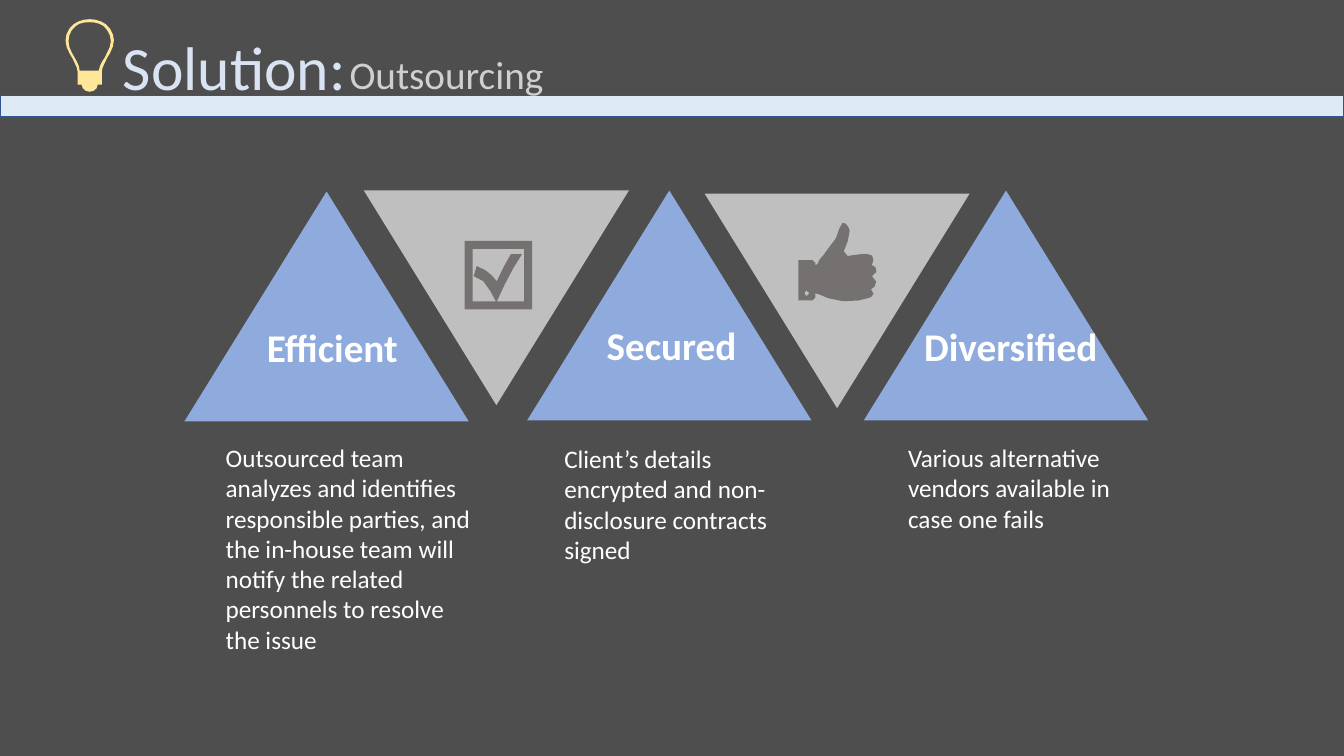
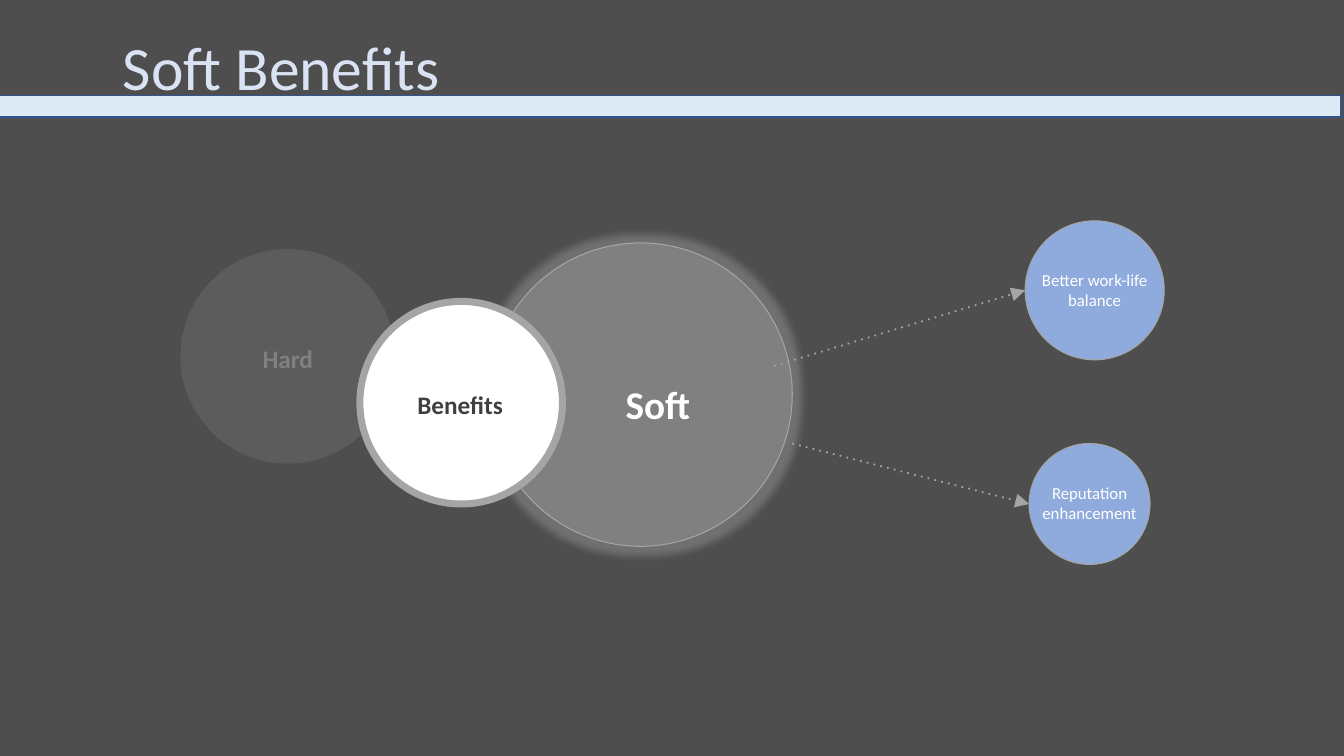
import math

import pptx
import pptx.util
import pptx.oxml
import pptx.oxml.ns
import pptx.dml.color
import pptx.enum.shapes
import pptx.enum.text

Inches = pptx.util.Inches
Pt = pptx.util.Pt
Shape = pptx.enum.shapes.MSO_SHAPE
Anchor = pptx.enum.text.MSO_ANCHOR
Align = pptx.enum.text.PP_ALIGN
AutoSize = pptx.enum.text.MSO_AUTO_SIZE

FONT = "Calibri"
PAGE_WIDTH = 40 / 3
COLORS = {
    "background": "4E4E4E",
    "band": "DEEBF7",
    "band_edge": "325491",
    "title": "DAE3F3",
    "subtitle": "D0CECE",
    "blue": "8FAADC",
    "silver": "BFBFBF",
    "icon": "767171",
    "bulb": "FFE699",
    "gray": "808080",
    "outline": "A5A5A5",
    "white": "FFFFFF",
    "dark": "3F3F3F",
}

# Icon outlines in hundredths of an inch. Each contour starts with a point;
# then two numbers make a line and six numbers make a curve.
BULB = [
    [(7, 39), (4, 34, 0, 28, 0, 21), (0, 15, 3, 9, 8, 5), (12, 2, 18, 0, 24, 0),
     (30, 0, 36, 2, 40, 5), (45, 9, 48, 15, 48, 21), (48, 28, 44, 34, 41, 39),
     (39, 44, 36, 48, 36, 52), (36, 65), (32, 65), (32, 69, 28, 72, 24, 72),
     (20, 72, 16, 69, 16, 65), (12, 65), (12, 52), (12, 48, 9, 44, 7, 39)],
    [(14, 51), (33, 51), (34, 46, 36, 42, 39, 38), (41, 33, 45, 28, 45, 22),
     (45, 16, 42, 11, 38, 7), (34, 4, 29, 3, 24, 3), (18, 3, 13, 4, 10, 7),
     (5, 11, 3, 16, 3, 22), (3, 28, 6, 33, 9, 38), (11, 42, 14, 46, 14, 51)],
]
CHECKBOX = [
    [(0, 0), (67, 0), (67, 68), (0, 68)],
    [(8, 8), (8, 60), (31, 60), (26, 51, 20, 36, 9, 35), (12, 25),
     (23, 29, 26, 33, 32, 40), (37, 29, 40, 23, 46, 13), (57, 13),
     (48, 26, 39, 44, 32, 60), (59, 60), (59, 8)],
]
THUMB = [
    [(44, 0), (47, 0, 50, 3, 51, 8), (53, 18, 38, 32, 49, 33),
     (56, 32, 60, 31, 68, 31), (75, 31, 76, 36, 73, 42), (77, 42, 81, 50, 73, 53),
     (81, 58, 76, 65, 72, 66), (76, 69, 75, 72, 72, 74), (63, 78, 42, 80, 30, 75),
     (25, 73, 21, 71, 17, 70), (17, 74), (17, 76, 16, 77, 14, 77), (0, 77),
     (0, 37), (14, 37), (16, 37, 17, 39, 17, 40), (17, 42),
     (17, 42, 18, 41, 19, 41), (20, 38, 22, 35, 25, 32), (30, 23, 39, 18, 41, 5),
     (42, 2, 43, 0, 44, 0)],
    [(8, 67), (7, 67, 6, 68, 6, 70), (6, 72, 7, 73, 8, 73),
     (10, 73, 11, 72, 11, 70), (11, 68, 10, 67, 8, 67)],
]


def color(name):
    return pptx.dml.color.RGBColor.from_string(COLORS[name])


def add_alpha(parent, percent):
    alpha = pptx.oxml.ns.qn("a:alpha")
    clr = next(parent.iter(pptx.oxml.ns.qn("a:srgbClr")))
    clr.append(clr.makeelement(alpha, {"val": str(percent * 1000)}))


def paint(shape, fill, line=None, width=0.75):
    shape.shadow.inherit = False
    shape.fill.solid()
    shape.fill.fore_color.rgb = color(fill)
    if line:
        shape.line.color.rgb = color(line)
        shape.line.width = Pt(width)
    else:
        shape.line.fill.background()
    return shape


def add_figure(page, kind, box, fill, **outline):
    shape = page.shapes.add_shape(kind, *map(Inches, box))
    return paint(shape, fill, **outline)


def write(shape, text, size, ink="white", bold=False, align=Align.LEFT,
          anchor=Anchor.TOP, spacing=None, auto_size=AutoSize.NONE):
    frame = shape.text_frame
    frame.word_wrap = True
    frame.auto_size = auto_size
    frame.vertical_anchor = anchor
    para = frame.paragraphs[0]
    para.alignment = align
    if spacing:
        para.line_spacing = spacing
    span = para.add_run()
    span.text = text
    span.font.name = FONT
    span.font.size = Pt(size)
    span.font.bold = bold
    span.font.color.rgb = color(ink)


def add_text(page, box, text, size, **style):
    write(page.shapes.add_textbox(*map(Inches, box)), text, size, **style)


def flatten(contour):
    """Turn a contour of lines and cubic curves into a few points."""
    points = [contour[0]]
    for segment in contour[1:]:
        if len(segment) == 2:
            points.append(segment)
            continue
        x0, y0 = points[-1]
        x1, y1, x2, y2, x3, y3 = segment
        steps = min(3, max(1, round(math.dist((x0, y0), (x3, y3)) / 4)))
        for step in range(1, steps + 1):
            t = step / steps
            a, b, c, d = (1 - t) ** 3, 3 * t * (1 - t) ** 2, 3 * t * t * (1 - t), t ** 3
            points.append((a * x0 + b * x1 + c * x2 + d * x3,
                           a * y0 + b * y1 + c * y2 + d * y3))
    return points


def add_icon(page, left, top, contours, fill):
    builder = None
    for contour in contours:
        points = [(Inches(x / 100), Inches(y / 100)) for x, y in flatten(contour)]
        if builder is None:
            builder = page.shapes.build_freeform(*points[0])
        else:
            builder.move_to(*points[0])
        builder.add_line_segments(points[1:], close=True)
    paint(builder.convert_to_shape(Inches(left), Inches(top)), fill)


def add_page(deck, title, band_left=0):
    """Title-only page with the band below its title."""
    page = deck.slides.add_slide(deck.slide_layouts[5])
    add_figure(page, Shape.RECTANGLE, (band_left, 0.95, PAGE_WIDTH, 0.21), "band",
               line="band_edge", width=1)
    heading = page.shapes.title
    heading.left, heading.top, heading.width, heading.height = map(
        Inches, (1.12, 0.53, 3.77, 0.34))
    write(heading, title, 44, ink="title", anchor=Anchor.MIDDLE, spacing=0.9)
    return page


def add_pillar(page, left, top, label, label_box, note, note_box):
    """Upright triangle with a label and a note, both offset from its corner."""
    add_figure(page, Shape.FLOWCHART_EXTRACT, (left, top, 2.82, 2.28), "blue")
    for text, size, bold, (dx, dy, width, height) in (
            (label, 28, True, label_box), (note, 18, False, note_box)):
        add_text(page, (left + dx, top + dy, width, height), text, size,
                 bold=bold, auto_size=AutoSize.SHAPE_TO_FIT_TEXT)


def add_icon_triangle(page, left, top, icon, dx, dy):
    """Inverted triangle holding an icon."""
    add_figure(page, Shape.FLOWCHART_MERGE, (left, top, 2.63, 2.13), "silver")
    add_icon(page, left + dx, top + dy, icon, "icon")


def add_circle(page, left, top, size, fill, **outline):
    return add_figure(page, Shape.OVAL, (left, top, size, size), fill, **outline)


def add_glow(shape, radius, name, percent):
    effects = shape._element.spPr.find(pptx.oxml.ns.qn("a:effectLst"))
    glow = pptx.oxml.parse_xml(
        f'<a:glow {pptx.oxml.ns.nsdecls("a")} rad="{Pt(radius)}">'
        f'<a:srgbClr val="{COLORS[name]}"/></a:glow>')
    add_alpha(glow, percent)
    effects.append(glow)


def add_arrow(page, start, end):
    arrow = page.shapes.add_connector(
        pptx.enum.shapes.MSO_CONNECTOR.STRAIGHT, *map(Inches, start + end))
    arrow.line.color.rgb = color("outline")
    arrow.line.width = Pt(1.25)
    line = arrow.line._get_or_add_ln()
    for tag, values in (("a:prstDash", {"val": "dot"}),
                        ("a:tailEnd", {"type": "triangle", "w": "lg", "len": "lg"})):
        line.append(line.makeelement(pptx.oxml.ns.qn(tag), values))
    properties = arrow._element.spPr
    properties.append(properties.makeelement(pptx.oxml.ns.qn("a:effectLst"), {}))


def add_benefit(page, left, top, size, text, text_box, start):
    """Dotted arrow leading to a circle with a caption."""
    add_arrow(page, start, (left, top + size / 2))
    add_circle(page, left, top, size, "blue", line="outline")
    dx, dy, width, height = text_box
    add_text(page, (left + dx, top + dy, width, height), text, 12,
             align=Align.CENTER)


def build_solution(deck):
    page = add_page(deck, "Solution:")
    add_icon(page, 0.65, 0.19, BULB, "bulb")
    add_text(page, (3.37, 0.57, 9.9, 0.38), "Outsourcing", 28, ink="subtitle",
             anchor=Anchor.MIDDLE, spacing=0.9)
    add_pillar(page, 1.83, 1.9, "Efficient", (0.72, 1.26, 2.24, 0.57),
               "Outsourced team analyzes and identifies responsible parties, and "
               "the in-house team will notify the related personnels to resolve "
               "the issue", (0.31, 2.44, 2.65, 2.22))
    add_pillar(page, 5.23, 1.89, "Secured", (0.69, 1.25, 2.24, 0.57),
               "Client’s details encrypted and non-disclosure contracts signed",
               (0.27, 2.46, 2.44, 1.31))
    add_pillar(page, 8.57, 1.89, "Diversified", (0.5, 1.26, 2.09, 0.57),
               "Various alternative vendors available in case one fails",
               (0.34, 2.45, 2.42, 1.01))
    add_icon_triangle(page, 3.61, 1.89, CHECKBOX, 1, 0.5)
    add_icon_triangle(page, 6.99, 1.92, THUMB, 0.93, 0.29)


def build_benefits(deck):
    page = add_page(deck, "Soft Benefits", band_left=-0.03)
    # Faded and highlighted kinds of benefit
    hard = add_circle(page, 1.79, 2.47, 2.13, "gray")
    add_alpha(hard._element.spPr, 29)
    soft = add_circle(page, 4.85, 2.41, 3.01, "gray", line="outline")
    add_glow(soft, 11, "outline", 40)
    centred = {"bold": True, "align": Align.CENTER}
    add_text(page, (1.91, 3.37, 1.89, 0.37), "Hard", 18, ink="gray",
             anchor=Anchor.MIDDLE, **centred)
    add_text(page, (5.58, 3.82, 1.89, 0.37), "Soft", 28,
             anchor=Anchor.MIDDLE, **centred)
    # Examples
    add_benefit(page, 10.17, 2.19, 1.38, "Better work-life balance",
                (0.06, 0.44, 1.26, 0.87), (7.68, 3.63))
    add_benefit(page, 10.21, 4.4, 1.2, "Reputation enhancement",
                (-0.03, 0.34, 1.26, 1.27), (7.86, 4.4))
    # Hub
    add_circle(page, 3.57, 2.99, 2.01, "white", line="outline", width=5)
    add_text(page, (3.54, 3.81, 2.05, 0.37), "Benefits", 18, ink="dark", **centred)


def main():
    deck = pptx.Presentation()
    deck.slide_width, deck.slide_height = Inches(PAGE_WIDTH), Inches(7.5)
    backdrop = deck.slide_master.background.fill
    backdrop.solid()
    backdrop.fore_color.rgb = color("background")
    build_solution(deck)
    build_benefits(deck)
    deck.save("out.pptx")


if __name__ == "__main__":
    main()
